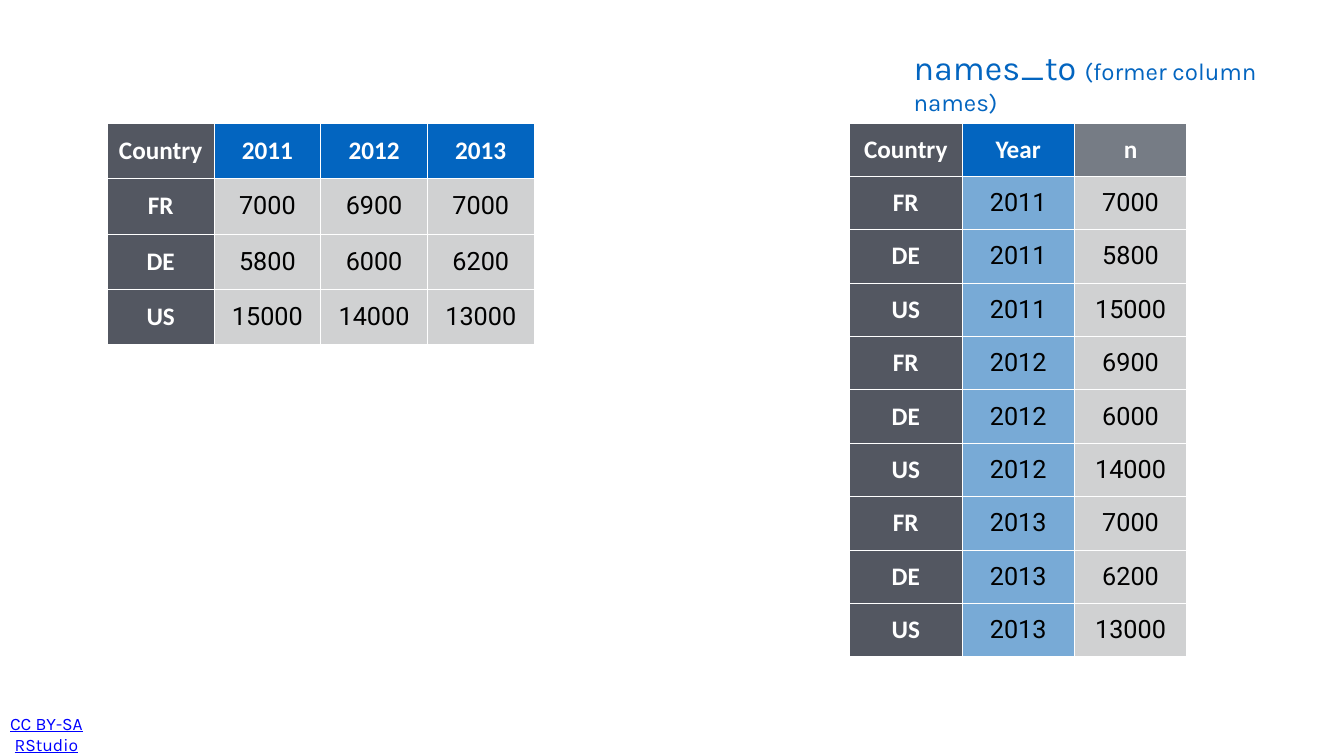
from lxml import etree
from pptx import Presentation
from pptx.dml.color import RGBColor
from pptx.enum.text import MSO_ANCHOR, PP_ALIGN
from pptx.oxml.ns import qn
from pptx.util import Inches, Pt

LEFT, CENTER = PP_ALIGN.LEFT, PP_ALIGN.CENTER
MIDDLE = MSO_ANCHOR.MIDDLE
BLANK_LAYOUT = 6

WHITE, BLACK, LINK_BLUE = "FFFFFF", "000000", "0000FF"
BLUE, LIGHT_BLUE = "0365C0", "78AAD6"
DARK_GRAY, GRAY, LIGHT_GRAY = "535761", "767C85", "D0D1D2"

COUNTRIES = ["FR", "DE", "US"]
CASES = {
    "2011": [7000, 5800, 15000],
    "2012": [6900, 6000, 14000],
    "2013": [7000, 6200, 13000],
}


def color(hex_string):
    return RGBColor.from_string(hex_string)


def add_run(paragraph, text, *, size, font, fill, bold=False, underline=False):
    run = paragraph.add_run()
    run.text = text
    run.font.size = Pt(size)
    run.font.name = font
    run.font.color.rgb = color(fill)
    run.font.bold = bold
    run.font.underline = underline


def add_text_box(slide, left, top, width, height, alignment,
                 left_inset=0.08, right_inset=0.08):
    """Add a middle-anchored text box and return its first paragraph."""
    shape = slide.shapes.add_textbox(
        Inches(left), Inches(top), Inches(width), Inches(height))
    frame = shape.text_frame
    frame.word_wrap = True
    frame.vertical_anchor = MIDDLE
    frame.margin_top = frame.margin_bottom = Inches(0.08)
    frame.margin_left = Inches(left_inset)
    frame.margin_right = Inches(right_inset)
    paragraph = frame.paragraphs[0]
    paragraph.alignment = alignment
    return paragraph


def add_cell_borders(cell):
    properties = cell._tc.get_or_add_tcPr()
    for position, side in enumerate(("a:lnL", "a:lnR", "a:lnT", "a:lnB")):
        line = etree.Element(qn(side), w=str(Pt(1)))
        fill = etree.SubElement(line, qn("a:solidFill"))
        etree.SubElement(fill, qn("a:srgbClr"), val=WHITE)
        properties.insert(position, line)


def format_cell(cell, text, fill, is_heading):
    cell.fill.solid()
    cell.fill.fore_color.rgb = color(fill)
    cell.vertical_anchor = MIDDLE
    cell.margin_left = cell.margin_right = Inches(0.06)
    cell.margin_top = cell.margin_bottom = Inches(0.06)
    add_cell_borders(cell)
    paragraph = cell.text_frame.paragraphs[0]
    paragraph.alignment = CENTER
    add_run(paragraph, text, size=36, bold=is_heading,
            font="Calibri" if is_heading else "Roboto",
            fill=WHITE if is_heading else BLACK)


def add_data_table(slide, left, top, width, height, rows, header_fills, body_fills):
    """Add a table whose first row and first column are headings."""
    shape = slide.shapes.add_table(
        len(rows), len(rows[0]),
        Inches(left), Inches(top), Inches(width), Inches(height))
    for row_index, row in enumerate(rows):
        fills = body_fills if row_index else header_fills
        for column_index, (value, fill) in enumerate(zip(row, fills)):
            format_cell(shape.table.cell(row_index, column_index), str(value), fill,
                        is_heading=row_index == 0 or column_index == 0)


def main():
    presentation = Presentation()
    presentation.slide_width = Inches(26.67)
    presentation.slide_height = Inches(15)
    slide = presentation.slides.add_slide(presentation.slide_layouts[BLANK_LAYOUT])

    license_line = add_text_box(slide, 0.12, 14.26, 2.66, 0.6, CENTER,
                                left_inset=0, right_inset=1.06)
    add_run(license_line, "CC BY-SA RStudio", size=25, font="Karla",
            fill=LINK_BLUE, underline=True)

    wide_rows = [["Country", *CASES]]
    wide_rows += [list(row) for row in zip(COUNTRIES, *CASES.values())]
    add_data_table(slide, 2.13, 2.44, 8.47, 4.4, wide_rows,
                   [DARK_GRAY] + [BLUE] * 3, [DARK_GRAY] + [LIGHT_GRAY] * 3)

    long_rows = [["Country", "Year", "n"]]
    long_rows += [[country, year, count] for year, counts in CASES.items()
                  for country, count in zip(COUNTRIES, counts)]
    add_data_table(slide, 16.86, 2.44, 6.69, 10.59, long_rows,
                   [DARK_GRAY, BLUE, GRAY], [DARK_GRAY, LIGHT_BLUE, LIGHT_GRAY])

    names_label = add_text_box(slide, 18.05, 1.11, 8.3, 1, LEFT)
    add_run(names_label, "names_to ", size=48.7, font="Karla", fill=BLUE)
    add_run(names_label, "(former column names)", size=34.4, font="Karla", fill=BLUE)

    presentation.save("out.pptx")


if __name__ == "__main__":
    main()
